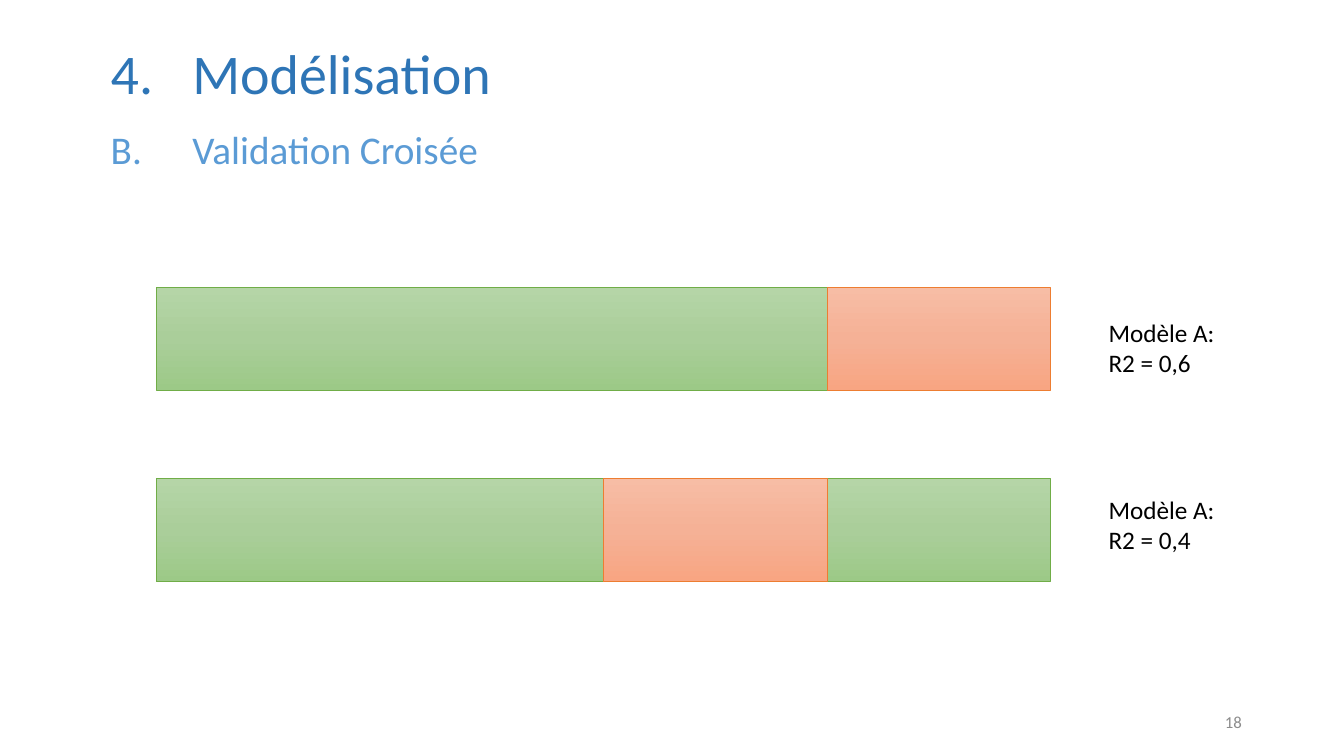
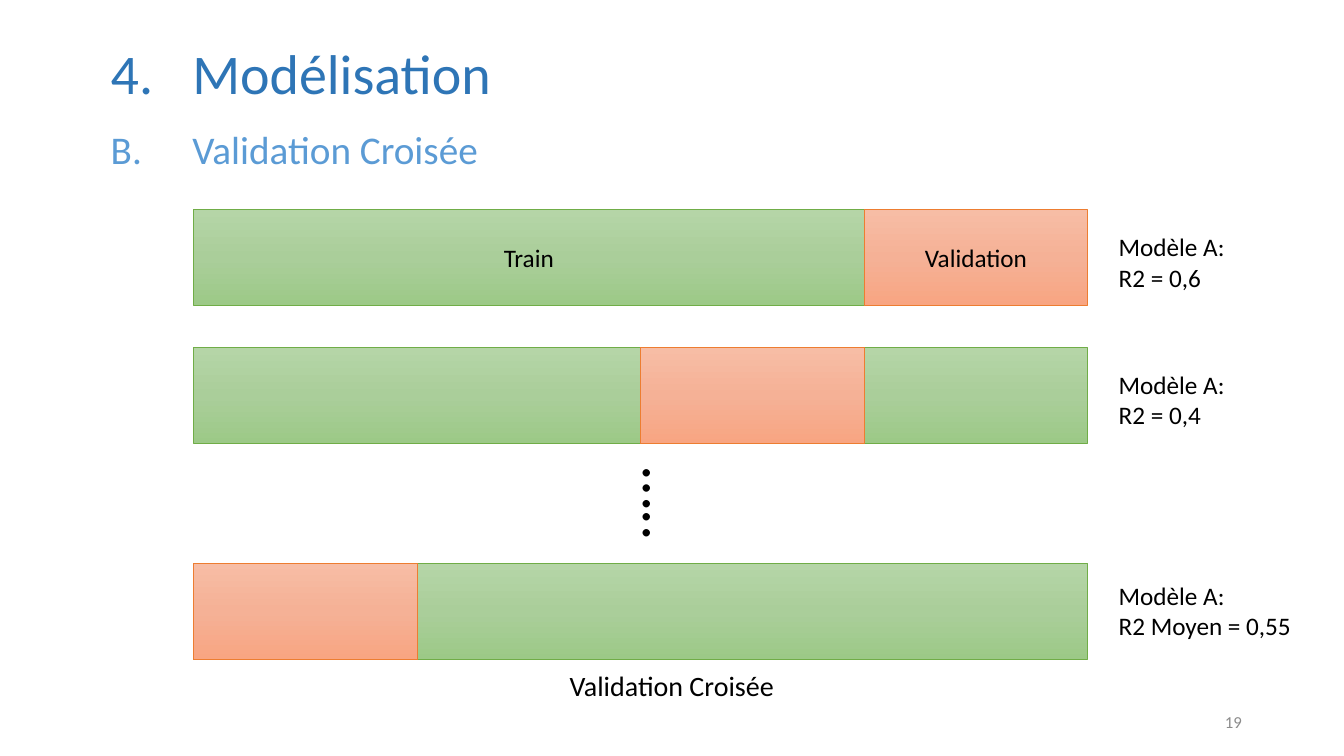
from copy import deepcopy

from pptx import Presentation
from pptx.dml.color import RGBColor
from pptx.enum.shapes import MSO_SHAPE as SHAPE
from pptx.enum.text import MSO_ANCHOR as ANCHOR, PP_ALIGN as ALIGN
from pptx.oxml.ns import qn
from pptx.util import Pt

# Shared look
FONT = "Calibri"
BLACK = "000000"
GREY = "8C8C8C"
TRAIN = (("B5D5A7", "AACE9A", "9CC987"), "70AD47")
VALIDATION = (("F7BDA5", "F5B196", "F8A582"), "ED7D31")
FOLD_WIDTH = 159.7
FOLDS = 4

# Numbered headings: text, top, height, size, colour, spacing, numbering, start
HEADINGS = [
    ("Modélisation", 0, 116.6, 40, "2E75B6", 1.5, "arabicPeriod", 4),
    ("Validation Croisée", 85.7, 34.6, 28, "5B9BD5", 1.0, "alphaUcPeriod", 2),
]

# Rows: top, folds in the green bar, fold used for validation,
# bar labels, score, top of the score
SLIDES = [
    {
        "number": "18", "left": 111.6, "height": 73.4, "score_left": 784.8,
        "rows": [
            (205.2, 3, 3, ("", ""), "R2 = 0,6", 223.2),
            (342, 4, 2, ("", ""), "R2 = 0,4", 349.2),
        ],
    },
    {
        "number": "19", "left": 138.2, "height": 68.4, "score_left": 792,
        "rows": [
            (149.8, 3, 3, ("Train", "Validation"), "R2 = 0,6", 162),
            (248.4, 4, 2, ("", ""), "R2 = 0,4", 259.9),
            (402.5, 4, 0, ("", ""), "R2 Moyen = 0,55", 411.1),
        ],
    },
]


def write(shape, text, size, color=BLACK, align=ALIGN.LEFT, anchor=ANCHOR.TOP):
    frame = shape.text_frame
    frame.word_wrap = True
    frame.vertical_anchor = anchor
    frame.text = text
    for paragraph in frame.paragraphs:
        paragraph.alignment = align
        for run in paragraph.runs:
            run.font.name = FONT
            run.font.size = Pt(size)
            run.font.color.rgb = RGBColor.from_string(color)
    return shape


def add_bar(shapes, left, top, folds, height, style, label):
    shades, outline = style
    bar = shapes.add_shape(SHAPE.RECTANGLE, Pt(left), Pt(top),
                           Pt(folds * FOLD_WIDTH), Pt(height))
    bar.shadow.inherit = False
    bar.fill.gradient()
    bar.fill.gradient_angle = 270
    stop_list = bar._element.spPr.find(".//" + qn("a:gsLst"))
    stop_list.append(deepcopy(stop_list[-1]))
    for stop, shade, position in zip(bar.fill.gradient_stops, shades, (0, 0.5, 1)):
        stop.color.rgb = RGBColor.from_string(shade)
        stop.position = position
    bar.line.color.rgb = RGBColor.from_string(outline)
    bar.line.width = Pt(0.5)
    if label:
        write(bar, label, 18, align=ALIGN.CENTER, anchor=ANCHOR.MIDDLE)


prs = Presentation()
prs.slide_width, prs.slide_height = Pt(960), Pt(540)

for content in SLIDES:
    shapes = prs.slides.add_slide(prs.slide_layouts[6]).shapes

    # Slide number
    number = shapes.add_textbox(Pt(678.2), Pt(501), Pt(216), Pt(28.8))
    write(number, content["number"], 12, GREY, ALIGN.RIGHT, ANCHOR.MIDDLE)

    # Headings
    for text, top, height, size, color, spacing, numbering, start in HEADINGS:
        heading = shapes.add_textbox(0, Pt(top), prs.slide_width, Pt(height))
        paragraph = write(heading, text, size, color).text_frame.paragraphs[0]
        paragraph.line_spacing = spacing
        properties = paragraph._p.get_or_add_pPr()
        properties.set("marL", str(Pt(130.3)))
        properties.set("indent", str(Pt(-58.3)))
        bullet = properties.makeelement(
            qn("a:buAutoNum"), {"type": numbering, "startAt": str(start)})
        properties.append(bullet)

    # Data splits with their scores
    left, height = content["left"], content["height"]
    for top, train_folds, fold, labels, score, score_top in content["rows"]:
        add_bar(shapes, left, top, train_folds, height, TRAIN, labels[0])
        add_bar(shapes, left + fold * FOLD_WIDTH, top, 1, height,
                VALIDATION, labels[1])
        result = shapes.add_textbox(Pt(content["score_left"]), Pt(score_top),
                                    Pt(FOLD_WIDTH), Pt(51))
        write(result, "Modèle A:\n" + score, 18)

# Ellipsis and caption on the last slide
ellipsis = shapes.add_textbox(Pt(434.2), Pt(329.8), Pt(85), Pt(60.5))
ellipsis.rotation = 90
write(ellipsis, "…..", 44, align=ALIGN.CENTER)
caption = shapes.add_textbox(Pt(397.4), Pt(473.8), Pt(164.9), Pt(31.7))
write(caption, "Validation Croisée", 20, align=ALIGN.CENTER)

prs.save("out.pptx")
